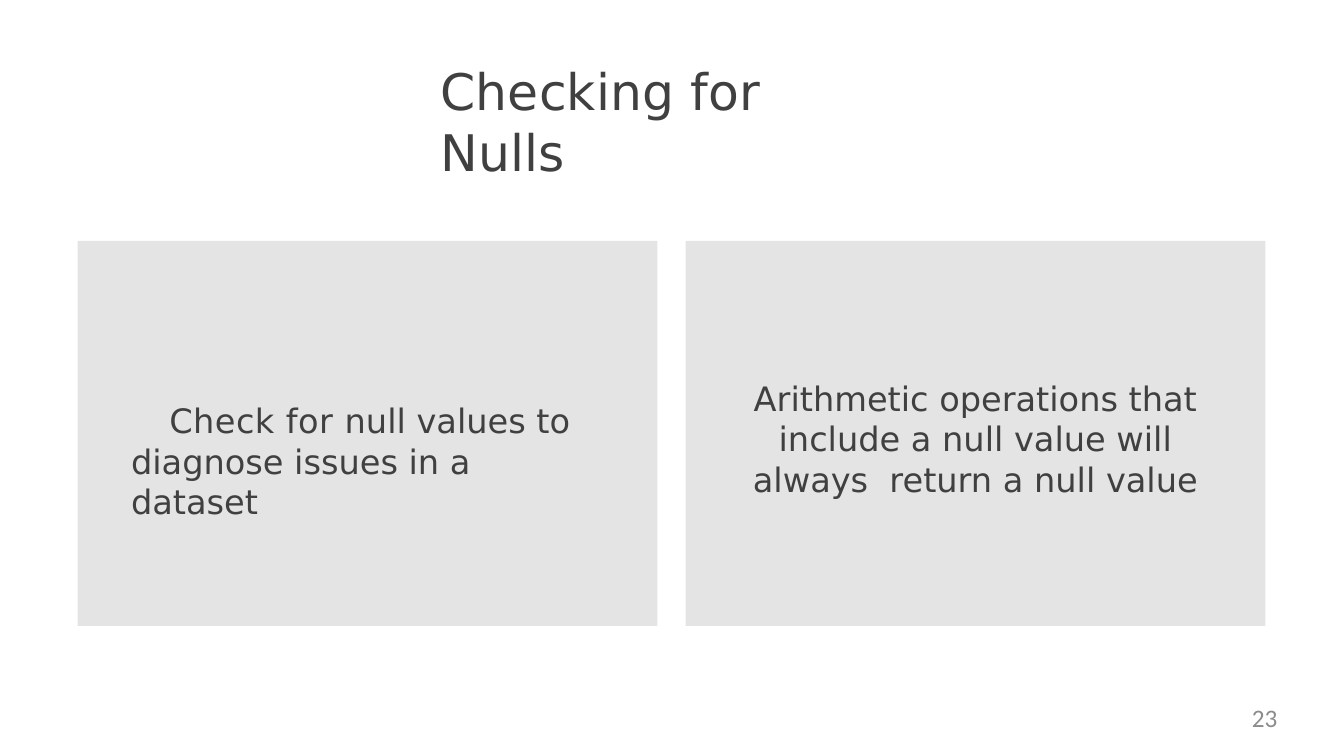
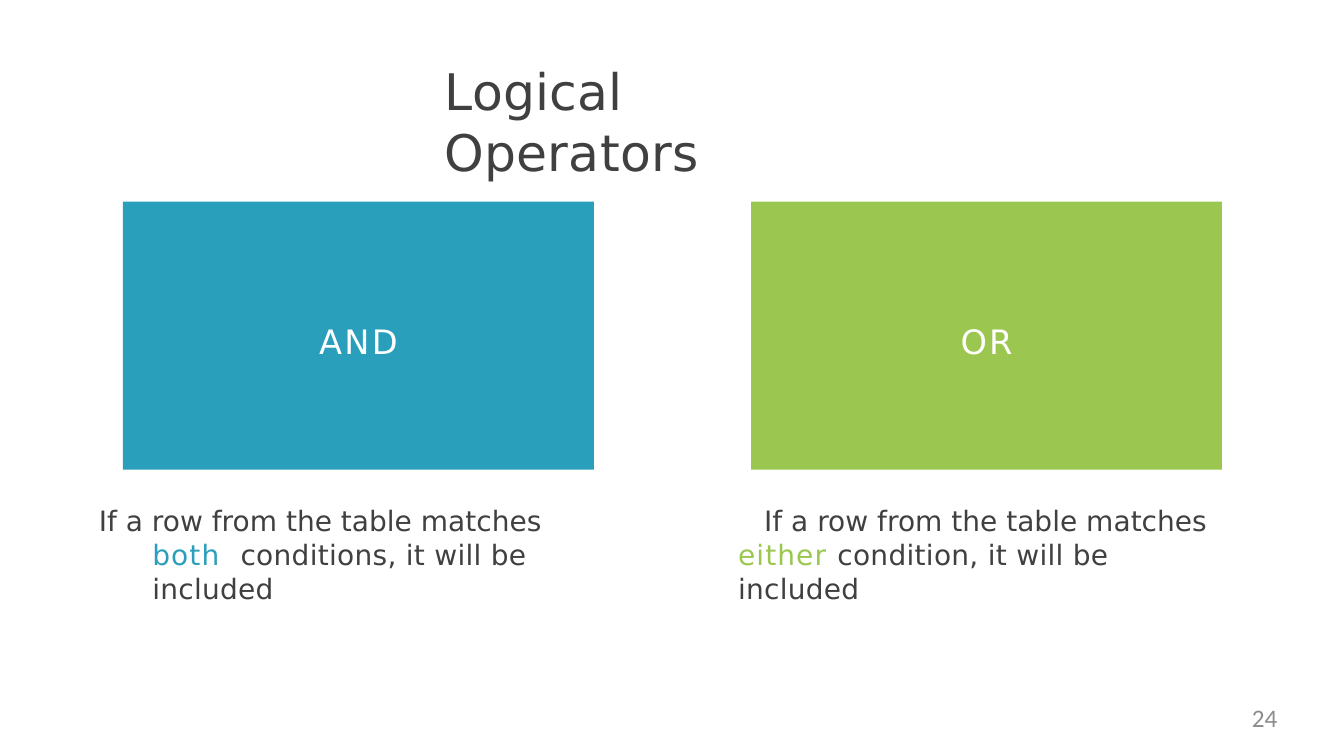
import pptx
import pptx.util
import pptx.dml.color
import pptx.enum.shapes
import pptx.enum.text

Inches = pptx.util.Inches
Pt = pptx.util.Pt
RGBColor = pptx.dml.color.RGBColor
ALIGN = pptx.enum.text.PP_ALIGN

INK = RGBColor(0x40, 0x40, 0x40)
WHITE = RGBColor(0xFF, 0xFF, 0xFF)
CARD_GREY = RGBColor(0xE4, 0xE4, 0xE4)
NUMBER_GREY = RGBColor(0x8C, 0x8C, 0x8C)
TEAL = RGBColor(0x2A, 0x9F, 0xBB)
GREEN = RGBColor(0x9B, 0xC7, 0x50)
TEXT_FONT = "DejaVu Sans"
NUMBER_FONT = "Calibri"


def set_text(box, spans, size, align=ALIGN.LEFT, font=TEXT_FONT,
             insets=(0, 0, 0, 0), hanging=(0, 0)):
    """Fill a box with one paragraph; each span is (text, colour, tracking in pt)."""
    frame = box.text_frame
    frame.word_wrap = True
    frame.auto_size = pptx.enum.text.MSO_AUTO_SIZE.NONE
    frame.vertical_anchor = pptx.enum.text.MSO_ANCHOR.TOP
    (frame.margin_left, frame.margin_top,
     frame.margin_right, frame.margin_bottom) = [Inches(inset) for inset in insets]
    para = frame.paragraphs[0]
    para.alignment = align
    margin, indent = hanging
    if margin or indent:
        properties = para._p.get_or_add_pPr()
        properties.set("marL", str(Inches(margin)))
        properties.set("indent", str(Inches(indent)))
    for text, colour, tracking in spans:
        span = para.add_run()
        span.text = text
        span.font.name = font
        span.font.size = Pt(size)
        span.font.color.rgb = colour
        if tracking:
            span._r.get_or_add_rPr().set("spc", str(round(tracking * 100)))


def add_text(page, left, top, width, height, spans, size, **style):
    box = page.shapes.add_textbox(Inches(left), Inches(top), Inches(width), Inches(height))
    set_text(box, spans, size, **style)


def add_panel(page, left, top, width, height, fill, spans, **style):
    """Filled rectangle with 24 pt text."""
    panel = page.shapes.add_shape(
        pptx.enum.shapes.MSO_SHAPE.RECTANGLE,
        Inches(left), Inches(top), Inches(width), Inches(height))
    panel.shadow.inherit = False
    panel.fill.solid()
    panel.fill.fore_color.rgb = fill
    panel.line.fill.background()
    set_text(panel, spans, 24, **style)


def add_page(deck, title, left, width, tracking, number):
    """Title-only slide with its title and page number."""
    page = deck.slides.add_slide(deck.slide_layouts[5])
    heading = page.shapes.title
    heading.left, heading.top = Inches(left), Inches(0.6)
    heading.width, heading.height = Inches(width), Inches(1.2)
    set_text(heading, [(title, INK, tracking)], 36)
    add_text(page, 9.6, 6.97, 3.07, 0.38, [(number, NUMBER_GREY, 0)], 18,
             align=ALIGN.RIGHT, font=NUMBER_FONT)
    return page


def add_operator(page, left, name, colour, tracking, caption_left, caption_width,
                 hanging, keyword, ending):
    """Coloured operator panel with its explanation underneath."""
    add_panel(page, left, 2, 4.67, 2.66, colour, [(name, WHITE, tracking)],
              align=ALIGN.CENTER, insets=(0, 1.18, 0, 0))
    spans = [("If a row from the table matches ", INK, 0),
             (keyword, colour, 0.8),
             (ending, INK, 0.2)]
    add_text(page, caption_left, 5, caption_width, 1.1, spans, 20, hanging=hanging)


def build_nulls(deck):
    page = add_page(deck, "Checking for Nulls", 4.37, 4.2, 0.1, "23")
    # Two equal cards
    left, top, width, height, gap = 0.77, 2.39, 5.75, 3.82, 0.28
    add_panel(page, left, top, width, height, CARD_GREY,
              [("Check for ", INK, 0.3),
               ("null values to diagnose issues in a dataset", INK, 0)],
              insets=(0, 1.58, 0.67, 0), hanging=(0.53, 0.38))
    add_panel(page, left + width + gap, top, width, height, CARD_GREY,
              [("Arithmetic operations that include a null value will "
                "always  return a null value", INK, 0)],
              align=ALIGN.CENTER, insets=(0.45, 1.36, 0.45, 0))


def build_operators(deck):
    page = add_page(deck, "Logical Operators", 4.41, 4, 0.2, "24")
    add_operator(page, 1.22, "AND", TEAL, 1.7, 0.97, 4.98, (0.54, -0.53),
                 "both  ", "conditions, it will be included")
    add_operator(page, 7.45, "OR", GREEN, 1.4, 7.32, 4.84, (0, 0.26),
                 "either ", "condition, it will be included")


def main():
    deck = pptx.Presentation()
    deck.slide_width, deck.slide_height = Inches(13.33), Inches(7.5)
    build_nulls(deck)
    build_operators(deck)
    deck.save("out.pptx")


if __name__ == "__main__":
    main()
